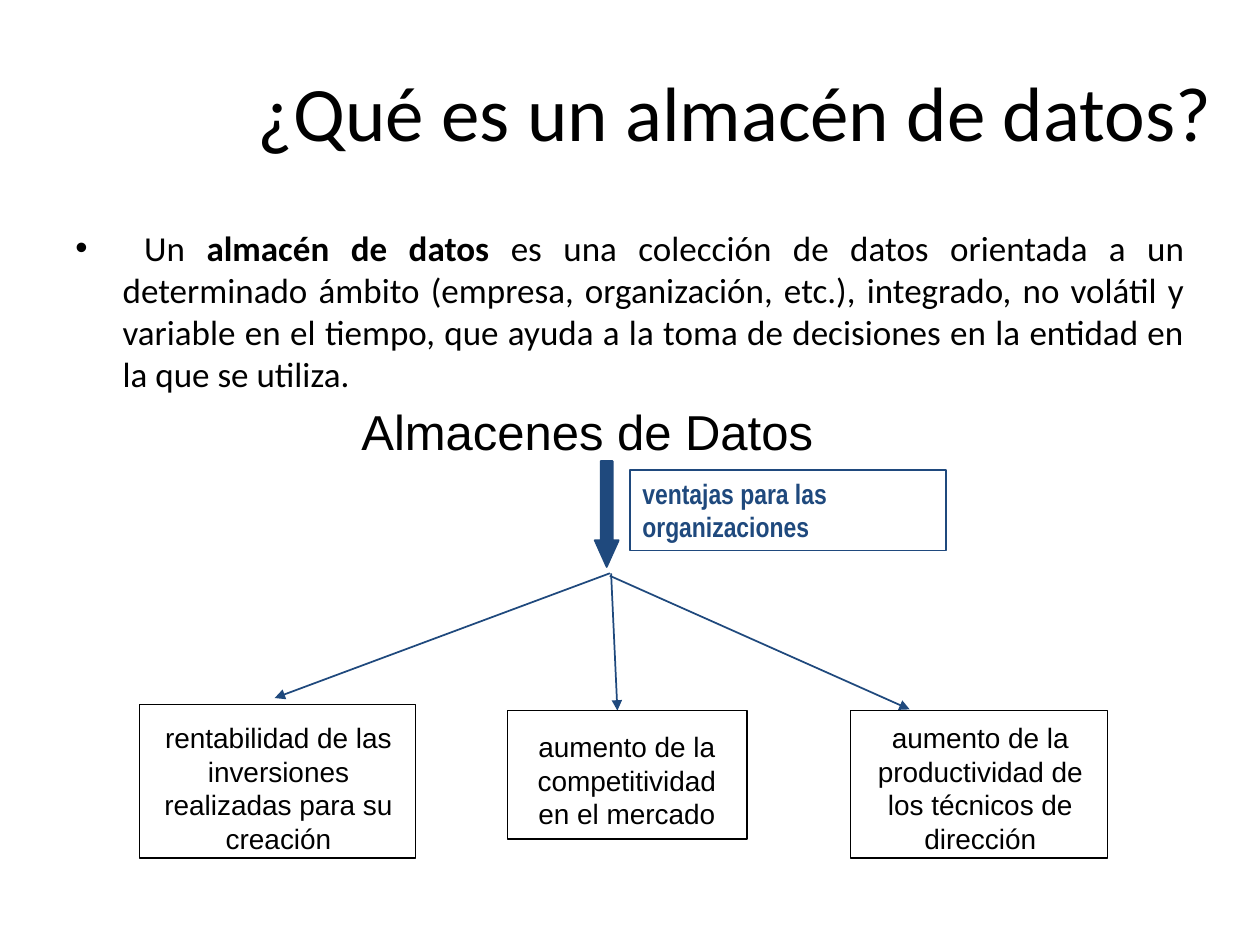
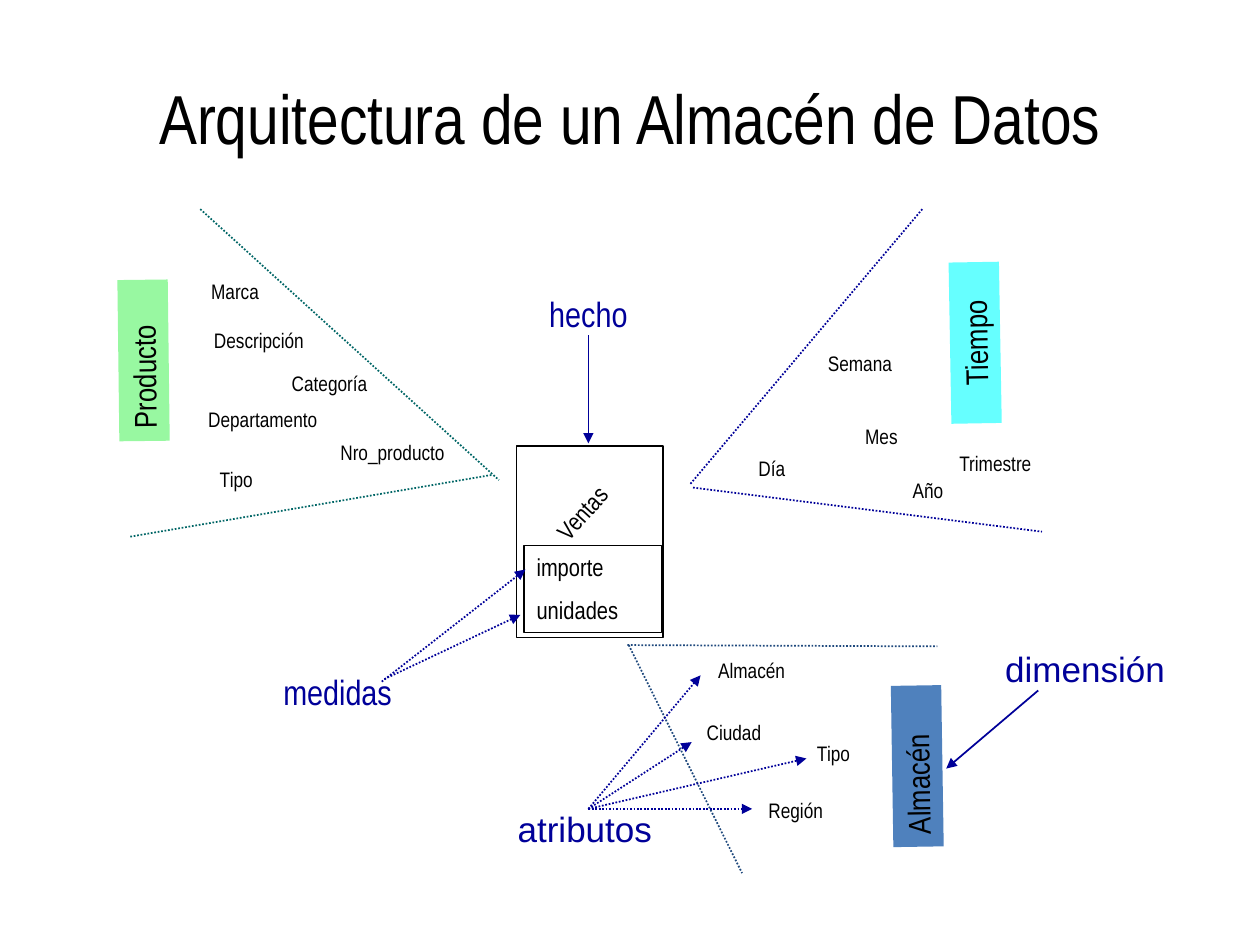
from dataclasses import dataclass

from lxml.etree import SubElement
from pptx import Presentation
from pptx.dml.color import RGBColor
from pptx.enum.dml import MSO_LINE
from pptx.enum.shapes import MSO_CONNECTOR, MSO_SHAPE
from pptx.enum.text import MSO_ANCHOR, PP_ALIGN
from pptx.oxml.ns import qn
from pptx.util import Inches, Pt

# Grid: 100 columns by 75 rows of square cells
WIDTH, HEIGHT = Inches(10), Inches(7.5)
COLUMNS, ROWS = 100, 75
COLORS = {
    "ink": "000000", "paper": "FFFFFF", "navy": "1F497D", "blue": "000099",
    "teal": "006666", "green": "98F8A1", "cyan": "66FFFF", "steel": "4F81BD",
}
SANS, NARROW, HUMANIST = "Arial", "Arial Narrow", "Calibri"
LEFT, CENTER, JUSTIFY = PP_ALIGN.LEFT, PP_ALIGN.CENTER, PP_ALIGN.JUSTIFY
Point = tuple[float, float]


@dataclass(frozen=True)
class Area:
    """Left, top, width and height in grid cells."""
    left: float
    top: float
    width: float
    height: float

    def lengths(self) -> list[int]:
        return [across(self.left), down(self.top), across(self.width), down(self.height)]


@dataclass(frozen=True)
class Line:
    start: Point
    end: Point
    color: str = "blue"
    dotted: bool = False
    arrow: bool = False


@dataclass(frozen=True)
class Advantage:
    """A framed benefit and the arrow that leads to it."""
    text: str
    text_area: Area
    frame: Area
    arrow_start: Point
    arrow_end: Point


@dataclass(frozen=True)
class Attribute:
    text: str
    left: float
    top: float
    width: float = 13.9


@dataclass(frozen=True)
class Dimension:
    """A rotated tag, two dotted edges and the attributes between them."""
    name: str
    left: float
    top: float
    rotation: float
    fill: str
    edge_color: str
    edges: tuple[tuple[Point, Point], ...]
    attributes: tuple[Attribute, ...]
    align: PP_ALIGN = LEFT


@dataclass(frozen=True)
class Term:
    text: str
    area: Area
    font: str = NARROW
    align: PP_ALIGN = LEFT


def across(columns: float) -> int:
    return round(WIDTH * columns / COLUMNS)


def down(rows: float) -> int:
    return round(HEIGHT * rows / ROWS)


def color_of(name: str) -> RGBColor:
    return RGBColor.from_string(COLORS[name])


def write(box, *paragraphs, size: float, font: str = SANS, color: str = "ink",
          bold: bool = False, align: PP_ALIGN = LEFT,
          anchor: MSO_ANCHOR = MSO_ANCHOR.TOP, bullet: bool = False) -> None:
    """Fill a box; a paragraph is a string or a list of (text, bold) spans."""
    frame = box.text_frame
    frame.word_wrap = True
    frame.vertical_anchor = anchor
    for index, content in enumerate(paragraphs):
        para = frame.add_paragraph() if index else frame.paragraphs[0]
        para.alignment = align
        if index:
            para.space_before = Pt(round(size * 0.57))
        spans = [(content, bold)] if isinstance(content, str) else content
        for text, is_bold in spans:
            span = para.add_run()
            span.text = text
            span.font.size = Pt(size)
            span.font.name = font
            span.font.bold = is_bold
            span.font.color.rgb = color_of(color)
        if bullet:
            properties = para._p.get_or_add_pPr()
            properties.set("marL", str(across(3.75)))
            properties.set("indent", str(-across(3.75)))
            SubElement(properties, qn("a:buFont"), typeface=SANS)
            SubElement(properties, qn("a:buChar"), char="•")


def add_text(page, area: Area, *paragraphs, **style):
    box = page.shapes.add_textbox(*area.lengths())
    write(box, *paragraphs, **style)
    return box


def add_title(page, area: Area, text: str, size: float, font: str) -> None:
    add_text(page, area, text, size=size, font=font, align=CENTER, anchor=MSO_ANCHOR.MIDDLE)


def add_box(page, area: Area, fill: str | None = None, line: str | None = None,
            weight: float = 1, kind: MSO_SHAPE = MSO_SHAPE.RECTANGLE, rotation: float = 0):
    box = page.shapes.add_shape(kind, *area.lengths())
    box.shadow.inherit = False
    box.rotation = rotation
    if fill:
        box.fill.solid()
        box.fill.fore_color.rgb = color_of(fill)
    else:
        box.fill.background()
    if line:
        box.line.color.rgb = color_of(line)
        box.line.width = Pt(weight)
    else:
        box.line.fill.background()
    return box


def add_line(page, line: Line) -> None:
    (x1, y1), (x2, y2) = line.start, line.end
    connector = page.shapes.add_connector(
        MSO_CONNECTOR.STRAIGHT, across(x1), down(y1), across(x2), down(y2))
    connector.line.color.rgb = color_of(line.color)
    connector.line.width = Pt(1)
    if line.dotted:
        connector.line.dash_style = MSO_LINE.ROUND_DOT
    if line.arrow:
        SubElement(connector.line._get_or_add_ln(), qn("a:tailEnd"), type="triangle")
    SubElement(connector._element.spPr, qn("a:effectLst"))


def add_dimension(page, dimension: Dimension) -> None:
    for start, end in dimension.edges:
        add_line(page, Line(start, end, dimension.edge_color, dotted=True))
    tag = add_box(page, Area(dimension.left, dimension.top, 12.8, 4),
                  fill=dimension.fill, rotation=dimension.rotation)
    write(tag, dimension.name, size=18, font=NARROW, align=dimension.align)
    for item in dimension.attributes:
        add_text(page, Area(item.left, item.top, item.width, 3), item.text,
                 size=12, font=NARROW, align=CENTER)


ADVANTAGES = (
    Advantage("rentabilidad de las inversiones realizadas para su creación",
              Area(11.7, 56.7, 20.8, 11.8), Area(11.1, 55.9, 21.9, 12.2),
              (48.4, 45.5), (21.8, 55.4)),
    Advantage("aumento de la competitividad en el mercado",
              Area(40.9, 57.4, 17.7, 9.2), Area(40.3, 56.4, 19, 10.2),
              (48.5, 45.5), (49, 56.4)),
    Advantage("aumento de la productividad de los técnicos de dirección",
              Area(67.7, 56.7, 20.2, 11.8), Area(67.5, 56.4, 20.4, 11.7),
              (48.4, 45.7), (72.2, 56.3)),
)

DIMENSIONS = (
    Dimension("Almacén", 66.4, 58.8, 269.1, "steel", "navy",
              (((49.9, 51.2), (58.9, 69.3)), ((49.8, 51.2), (74.4, 51.3))),
              (Attribute("Almacén", 52.7, 51.7), Attribute("Ciudad", 52.9, 56.6, 10.7),
               Attribute("Región", 56.2, 62.8), Attribute("Tipo", 59.2, 58.3))),
    Dimension("Producto", 5, 26.6, 269.3, "green", "teal",
              (((15.9, 16.6), (39.6, 38.1)), ((39, 37.7), (10.3, 42.6))),
              (Attribute("Marca", 11.7, 21.6), Attribute("Descripción", 13.6, 25.5),
               Attribute("Categoría", 19.2, 28.9), Attribute("Departamento", 13.9, 31.8),
               Attribute("Nro_producto", 24.2, 34.4), Attribute("Tipo", 11.8, 36.5))),
    Dimension("Tiempo", 71, 25.2, 269, "cyan", "blue",
              (((54.8, 38.4), (73.2, 16.6)), ((55, 38.7), (82.7, 42.2))),
              (Attribute("Semana", 61.3, 27.3), Attribute("Mes", 63, 33.1),
               Attribute("Día", 54.3, 35.7), Attribute("Año", 66.7, 37.4),
               Attribute("Trimestre", 74.3, 35.3, 9.4)), CENTER),
)

TERMS = (
    Term("hecho", Area(41.1, 22.7, 11.2, 4.3), align=CENTER),
    Term("medidas", Area(21.5, 52.7, 13.3, 4.3)),
    Term("dimensión", Area(78.8, 50.9, 15.6, 4.3), SANS),
    Term("atributos", Area(40.1, 63.6, 18.1, 4.3), SANS),
)

ATTRIBUTE_ENDS = ((55.6, 53.6), (54.9, 58.9), (64, 60.2), (59.7, 64.2))
POINTERS = (
    Line((46.7, 26.6), (46.7, 35.2), arrow=True),
    Line((82.4, 54.8), (75.1, 61), arrow=True),
    Line((30.3, 54.1), (41.7, 45.2), dotted=True, arrow=True),
    Line((30.5, 53.9), (41.3, 48.8), dotted=True, arrow=True),
    *(Line((46.7, 64.2), end, dotted=True, arrow=True) for end in ATTRIBUTE_ENDS),
)


def build_definition(page) -> None:
    add_title(page, Area(19.2, 2.5, 78.3, 12.5), "¿Qué es un almacén de datos?", 44, HUMANIST)
    definition = [
        (" Un ", False),
        ("almacén de datos ", True),
        ("es una colección de datos orientada a un determinado ámbito (empresa, "
         "organización, etc.), integrado, no volátil y variable en el tiempo, que ayuda "
         "a la toma de decisiones en la entidad en la que se utiliza.", False),
    ]
    add_text(page, Area(5, 17.5, 90, 49.5), definition, size=20, font=HUMANIST,
             align=JUSTIFY, bullet=True)

    # Heading of the diagram and its thick arrow
    add_text(page, Area(27.7, 31.4, 43.9, 5.7), "Almacenes de Datos", size=28)
    arrow = add_box(page, Area(47.2, 36.6, 1.9, 8.4), fill="navy", line="navy",
                    kind=MSO_SHAPE.DOWN_ARROW)
    arrow.adjustments[0], arrow.adjustments[1] = 0.5, 1.11
    label = add_box(page, Area(50, 37.3, 25.1, 6.4), fill="paper", line="navy")
    write(label, "ventajas para las organizaciones", size=16, font=NARROW,
          color="navy", bold=True)

    # Advantages
    for advantage in ADVANTAGES:
        add_text(page, advantage.text_area, advantage.text, size=16, align=CENTER)
        add_line(page, Line(advantage.arrow_start, advantage.arrow_end, "navy", arrow=True))
        add_box(page, advantage.frame, line="ink", weight=0.75)


def build_architecture(page) -> None:
    add_title(page, Area(5, 3, 90, 12.5), "Arquitectura de un Almacén de Datos", 39.6, NARROW)

    # Fact table with its measures
    add_box(page, Area(41, 35.4, 11.6, 15.2), fill="paper", line="ink")
    fact = add_box(page, Area(42.5, 38.4, 8.5, 3.4), fill="paper", line="paper", rotation=312.1)
    write(fact, "Ventas", size=14, font=NARROW)
    measures = add_box(page, Area(41.6, 43.3, 10.9, 6.9), fill="paper", line="ink")
    write(measures, "importe", "unidades", size=14, font=NARROW)

    # Dimensions, then the terms that point at the parts
    for dimension in DIMENSIONS:
        add_dimension(page, dimension)
    for term in TERMS:
        add_text(page, term.area, term.text, size=20, font=term.font,
                 color="blue", align=term.align)
    for pointer in POINTERS:
        add_line(page, pointer)


def main() -> None:
    deck = Presentation()
    deck.slide_width, deck.slide_height = WIDTH, HEIGHT
    blank = deck.slide_layouts[6]
    for build in (build_definition, build_architecture):
        build(deck.slides.add_slide(blank))
    deck.save("out.pptx")


if __name__ == "__main__":
    main()
